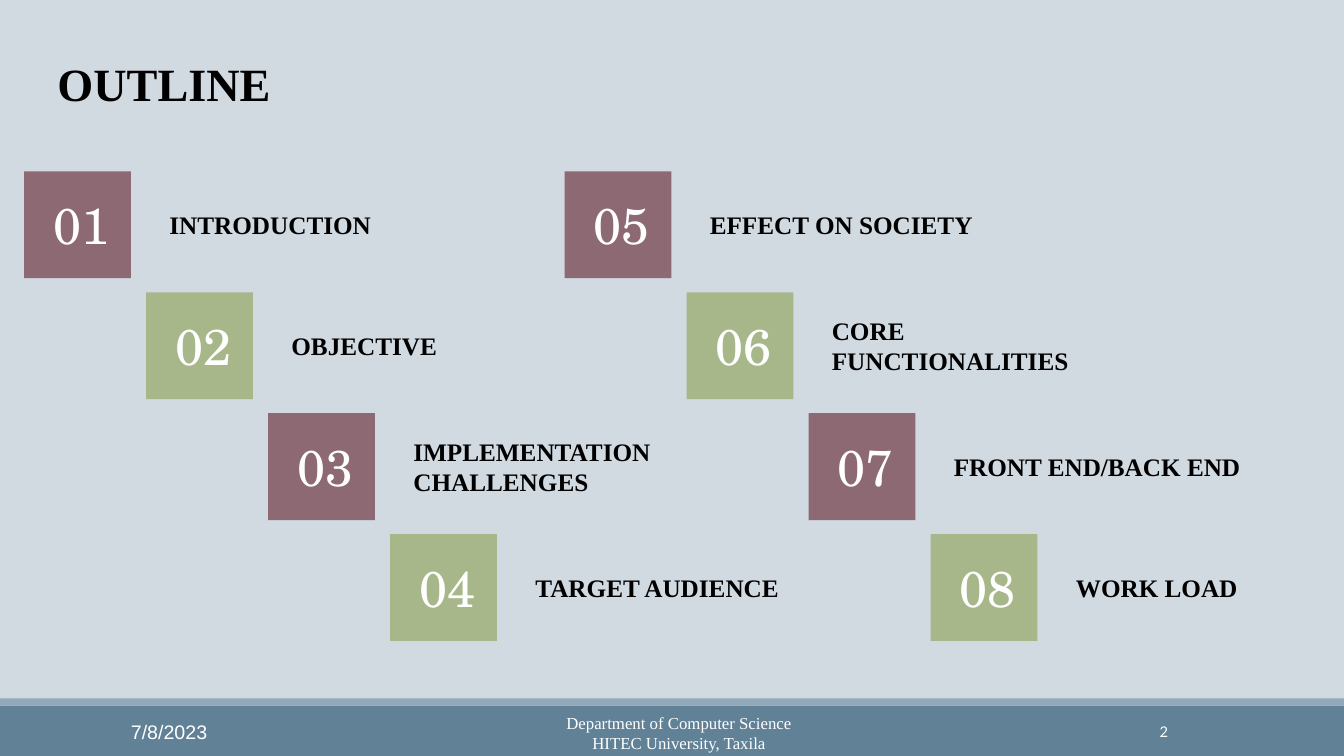
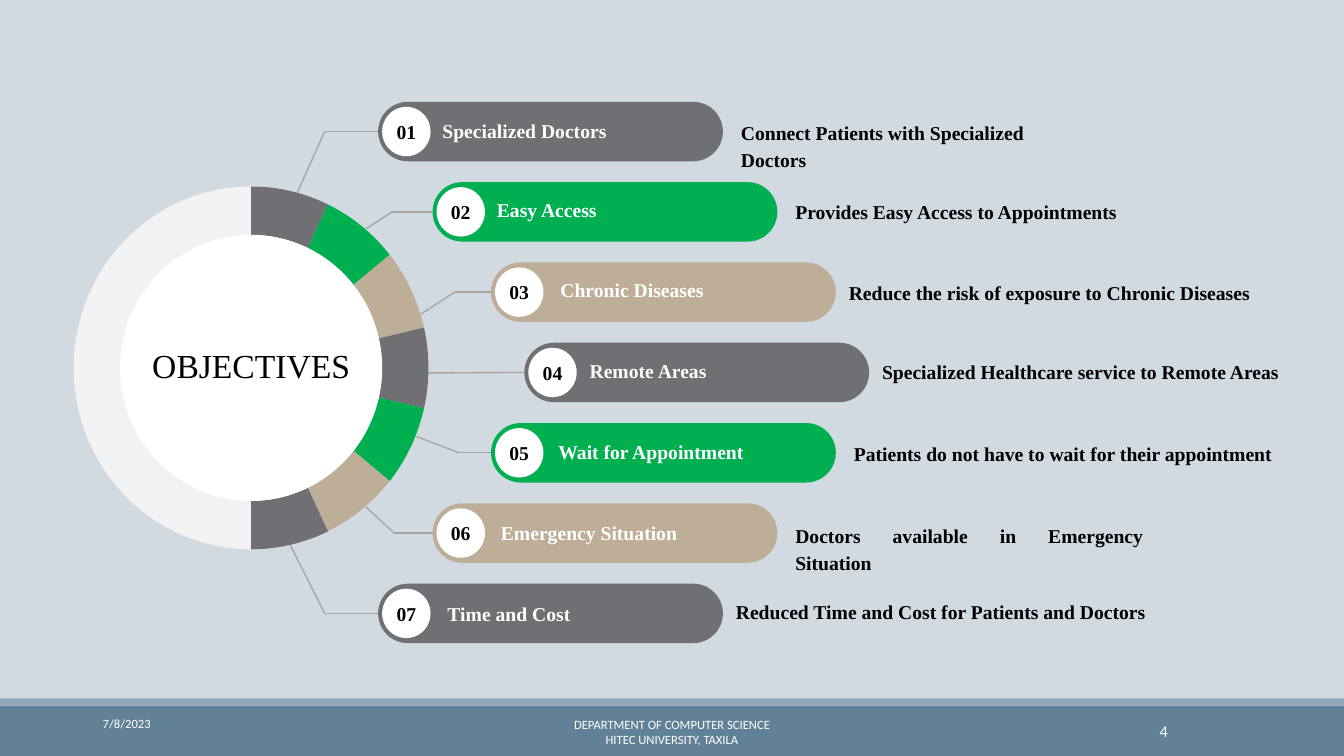
"""Build the outline and objectives slides of a project presentation."""
from dataclasses import dataclass, replace
from math import cos, pi, sin
from typing import Optional

from lxml import etree
from pptx import Presentation
from pptx.dml.color import RGBColor
from pptx.enum.shapes import MSO_CONNECTOR, MSO_SHAPE
from pptx.enum.text import MSO_ANCHOR, MSO_AUTO_SIZE, PP_ALIGN
from pptx.oxml.ns import qn
from pptx.util import Inches, Pt

RECT, PILL, OVAL = MSO_SHAPE.RECTANGLE, MSO_SHAPE.ROUNDED_RECTANGLE, MSO_SHAPE.OVAL
STRAIGHT = MSO_CONNECTOR.STRAIGHT
TOP, MIDDLE = MSO_ANCHOR.TOP, MSO_ANCHOR.MIDDLE
LEFT, CENTER, JUSTIFY = PP_ALIGN.LEFT, PP_ALIGN.CENTER, PP_ALIGN.JUSTIFY
FIXED = MSO_AUTO_SIZE.NONE

BACKGROUND = RGBColor(0xD1, 0xD9, 0xE1)
BAND = RGBColor(0x61, 0x81, 0x97)
BAND_EDGE = RGBColor(0x92, 0xA9, 0xB9)
MAUVE = RGBColor(0x8D, 0x69, 0x74)
SAGE = RGBColor(0xA7, 0xB7, 0x89)
GRAY = RGBColor(0x6F, 0x6F, 0x74)
GREEN = RGBColor(0x00, 0xB0, 0x50)
TAN = RGBColor(0xBE, 0xAE, 0x98)
PALE = RGBColor(0xF2, 0xF2, 0xF2)
LINE = RGBColor(0xA6, 0xA6, 0xA6)
WHITE = RGBColor(0xFF, 0xFF, 0xFF)
BLACK = RGBColor(0x00, 0x00, 0x00)

SERIF = "Times New Roman"
DEFAULT_INSETS = (0.1, 0.05, 0.1, 0.05)
NO_INSETS = (0, 0, 0, 0)
Box = tuple[float, float, float, float]
Point = tuple[float, float]


@dataclass(frozen=True)
class Style:
    """Font and paragraph settings of a text."""
    size: float
    font: str = SERIF
    color: RGBColor = BLACK
    bold: bool = False
    align: PP_ALIGN = LEFT
    spacing: float = 1.0
    indent: float = 0


@dataclass(frozen=True)
class Footer:
    """One text in the bottom band."""
    box: Box
    lines: tuple[str, ...]
    style: Style


@dataclass(frozen=True)
class Topic:
    """One entry of the outline."""
    label: str
    width: float = 2.42


@dataclass(frozen=True)
class Objective:
    """One pill with its description and the path of its leader line."""
    label: str
    label_at: Point
    left: float
    ring_point: Point
    elbow: Optional[float]
    detail: str
    detail_box: Box
    detail_style: Style


HEADING = Style(33, bold=True)
HUB = Style(24)
TOPIC = Style(18, bold=True)
TOPIC_NUMBER = Style(36, "TeX Gyre Schola", WHITE, align=CENTER)
PILL_LABEL = Style(14, color=WHITE, bold=True)
BADGE = Style(14, bold=True, align=CENTER)
DETAIL = Style(14, bold=True, spacing=1.15, indent=0.08)
JUSTIFIED = replace(DETAIL, align=JUSTIFY)
PLAIN_DETAIL = Style(14, bold=True)
SMALL = Style(9, "Calibri", WHITE)
PAGE_NUMBER = Style(10.5, "Lato", WHITE, align=CENTER)
PAGE_BOX = (10.83, 7.06, 1.43, 0.4)

OUTLINE_FOOTERS = (
    Footer((1.2, 7.06, 2.7, 0.4), ("7/8/2023",), Style(14, "Arial", WHITE)),
    Footer((4.33, 7.05, 4.81, 0.44),
           ("Department of Computer Science", "HITEC University, Taxila"),
           Style(12, color=WHITE, align=CENTER)),
    Footer(PAGE_BOX, ("2",), PAGE_NUMBER),
)
OBJECTIVE_FOOTERS = (
    Footer((0.92, 6.98, 1, 0.4), ("7/8/2023",), SMALL),
    Footer((4.03, 7.06, 5.27, 0.4),
           ("DEPARTMENT OF COMPUTER SCIENCE", "HITEC UNIVERSITY, TAXILA"),
           replace(SMALL, align=CENTER)),
    Footer(PAGE_BOX, ("4",), PAGE_NUMBER),
)

TOPICS = (
    Topic("INTRODUCTION"), Topic("OBJECTIVE"),
    Topic("IMPLEMENTATION CHALLENGES"), Topic("TARGET AUDIENCE"),
    Topic("EFFECT ON SOCIETY", 2.88), Topic("CORE FUNCTIONALITIES"),
    Topic("FRONT END/BACK END", 3.28), Topic("WORK LOAD"),
)

OBJECTIVES = (
    Objective("Specialized Doctors", (4.29, 1.13), 3.75, (2.94, 1.93), 3.22,
              "Connect Patients with Specialized Doctors",
              (7.17, 1.12, 3.73, 0.64), DETAIL),
    Objective("Easy Access", (4.83, 1.91), 4.29, (3.63, 2.27), 3.89,
              "Provides Easy Access to Appointments",
              (7.71, 1.9, 3.73, 0.37), DETAIL),
    Objective("Chronic Diseases", (5.46, 2.71), 4.87, (4.17, 3.12), 4.51,
              "Reduce the risk of exposure to Chronic Diseases",
              (8.24, 2.7, 4.54, 0.37), DETAIL),
    Objective("Remote Areas", (5.75, 3.51), 5.2, (4.2, 3.7), None,
              "Specialized Healthcare service to Remote Areas",
              (8.57, 3.49, 4.33, 0.37), DETAIL),
    Objective("Wait for Appointment", (5.44, 4.32), 4.87, (4.13, 4.33), 4.55,
              "Patients do not have to wait for their appointment",
              (8.29, 4.3, 4.48, 0.37), JUSTIFIED),
    Objective("Emergency Situation", (4.87, 5.12), 4.29, (3.63, 5.03), 3.91,
              "Doctors available in Emergency Situation",
              (7.71, 5.11, 3.73, 0.37), JUSTIFIED),
    Objective("Time and Cost", (4.34, 5.92), 3.75, (2.88, 5.41), 3.22,
              "Reduced Time and Cost for Patients and Doctors",
              (7.2, 5.9, 4.38, 0.34), PLAIN_DETAIL),
)
CYCLE = (GRAY, GREEN, TAN)
RING_CENTER = (2.49, 3.65)
RING_OUTER = (1.76, 1.8)
RING_INNER = (1.3, 1.32)


def write(sp, lines: tuple[str, ...], style: Style, anchor=TOP,
          insets: Box = DEFAULT_INSETS) -> None:
    """Fill a shape with one paragraph per line."""
    tf = sp.text_frame
    tf.word_wrap = True
    tf.auto_size = FIXED
    tf.vertical_anchor = anchor
    (tf.margin_left, tf.margin_top,
     tf.margin_right, tf.margin_bottom) = map(Inches, insets)
    for i, line in enumerate(lines):
        p = tf.add_paragraph() if i else tf.paragraphs[0]
        p.alignment = style.align
        p.line_spacing = style.spacing
        if style.indent:
            p._p.get_or_add_pPr().set("marL", str(Inches(style.indent)))
        r = p.add_run()
        r.text = line
        r.font.name = style.font
        r.font.size = Pt(style.size)
        r.font.bold = style.bold
        r.font.color.rgb = style.color


def paint(sp, color: RGBColor) -> None:
    """Give a shape a flat fill without line or shadow."""
    sp.shadow.inherit = False
    sp.fill.solid()
    sp.fill.fore_color.rgb = color
    sp.line.fill.background()


def add_block(slide, kind, box: Box, color: RGBColor):
    """Draw a flat preset shape."""
    sp = slide.shapes.add_shape(kind, *map(Inches, box))
    paint(sp, color)
    return sp


def add_text(slide, box: Box, lines: tuple[str, ...], style: Style, anchor=TOP,
             insets: Box = DEFAULT_INSETS) -> None:
    """Add a text box."""
    write(slide.shapes.add_textbox(*map(Inches, box)), lines, style, anchor, insets)


def add_line(slide, start: Point, end: Point):
    """Draw a thin leader line."""
    line = slide.shapes.add_connector(STRAIGHT, *map(Inches, (*start, *end)))
    line.line.color.rgb = LINE
    line.line.width = Pt(1)
    etree.SubElement(line._element.spPr, qn("a:effectLst"))
    return line


def set_title(slide, text: str, box: Box, style: Style) -> None:
    """Place the title placeholder in front of the other shapes."""
    sp = slide.shapes.title
    sp.left, sp.top, sp.width, sp.height = map(Inches, box)
    write(sp, (text,), style)
    sp.element.getparent().append(sp.element)


def add_footers(slide, footers: tuple[Footer, ...]) -> None:
    """Write the texts of the bottom band."""
    for footer in footers:
        add_text(slide, footer.box, footer.lines, footer.style, MIDDLE)


def style_master(prs, slide) -> None:
    """Set the shared background and move the bottom bands to the master."""
    master = prs.slide_master
    master.background.fill.solid()
    master.background.fill.fore_color.rgb = BACKGROUND
    bands = (((0, 6.93, 13.33, 0.07), BAND_EDGE), ((0, 7, 13.33, 0.5), BAND))
    for box, color in bands:
        sp = add_block(slide, RECT, box, color)
        master.shapes.element.insert(2, sp.element)


def build_outline(slide) -> None:
    """Draw two descending stairs of numbered topics."""
    side = 1.06
    for i, topic in enumerate(TOPICS):
        column, step = divmod(i, 4)
        x = 0.24 + 5.36 * column + 1.21 * step
        y = 1.7 + 1.2 * step
        sp = add_block(slide, RECT, (x, y, side, side), SAGE if step % 2 else MAUVE)
        write(sp, (f"{i + 1:02d}",), TOPIC_NUMBER, MIDDLE, (0.07, 0, 0, 0))
        add_text(slide, (x + 1.44, y, topic.width, side), (topic.label,),
                 TOPIC, MIDDLE, NO_INSETS)
    set_title(slide, "OUTLINE", (0.47, 0.5, 12.86, 0.66), HEADING)
    add_footers(slide, OUTLINE_FOOTERS)


def add_objective(slide, i: int, item: Objective) -> None:
    """Draw one pill with its badge, leader line and texts."""
    y = 1.01 + 4.78 * i / (len(OBJECTIVES) - 1)
    pill = add_block(slide, PILL, (item.left, y, 3.42, 0.59), CYCLE[i % 3])
    pill.adjustments[0] = 0.5
    badge = add_block(slide, OVAL, (item.left + 0.04, y + 0.05, 0.48, 0.49), WHITE)
    write(badge, (f"{i + 1:02d}",), BADGE, MIDDLE, NO_INSETS)
    middle = y + 0.295
    bend = item.ring_point
    if item.elbow is not None:
        bend = (item.elbow, middle)
        add_line(slide, item.ring_point, bend)
    add_line(slide, bend, (item.left, middle)).end_connect(pill, 1)
    add_text(slide, (*item.label_at, 2.5, 0.34), (item.label,), PILL_LABEL)
    add_text(slide, item.detail_box, (item.detail,), item.detail_style)


def ring_point(radii: Point, angle: float) -> Point:
    """Return the point at a clockwise angle from the top of the ring."""
    return (Inches(RING_CENTER[0] + radii[0] * sin(angle)),
            Inches(RING_CENTER[1] - radii[1] * cos(angle)))


def add_oval(slide, radii: Point, color: RGBColor) -> None:
    """Draw an oval around the ring's centre."""
    (cx, cy), (rx, ry) = RING_CENTER, radii
    add_block(slide, OVAL, (cx - rx, cy - ry, 2 * rx, 2 * ry), color)


def add_ring(slide) -> None:
    """Draw the ring with one segment per objective on its right half."""
    add_oval(slide, RING_OUTER, PALE)
    count, parts = len(OBJECTIVES), 12
    for i in range(count):
        angles = [pi * (i + k / parts) / count for k in range(parts + 1)]
        points = [ring_point(RING_OUTER, a) for a in angles]
        points += [ring_point(RING_INNER, a) for a in reversed(angles)]
        outline = slide.shapes.build_freeform(*points[0])
        outline.add_line_segments(points[1:], close=True)
        paint(outline.convert_to_shape(), CYCLE[i % 3])
    add_oval(slide, RING_INNER, WHITE)


def build_objectives(slide) -> None:
    """Draw the ring and the objectives around it."""
    for i, item in enumerate(OBJECTIVES):
        add_objective(slide, i, item)
    add_ring(slide)
    set_title(slide, "OBJECTIVES", (1.41, 3.37, 2.2, 0.5), HUB)
    add_footers(slide, OBJECTIVE_FOOTERS)


def main() -> None:
    """Create and save the presentation."""
    prs = Presentation()
    prs.slide_width, prs.slide_height = Inches(13.33), Inches(7.5)
    title_only = prs.slide_layouts[5]
    outline, objectives = (prs.slides.add_slide(title_only) for _ in range(2))
    style_master(prs, outline)
    build_outline(outline)
    build_objectives(objectives)
    prs.save("out.pptx")


if __name__ == "__main__":
    main()
